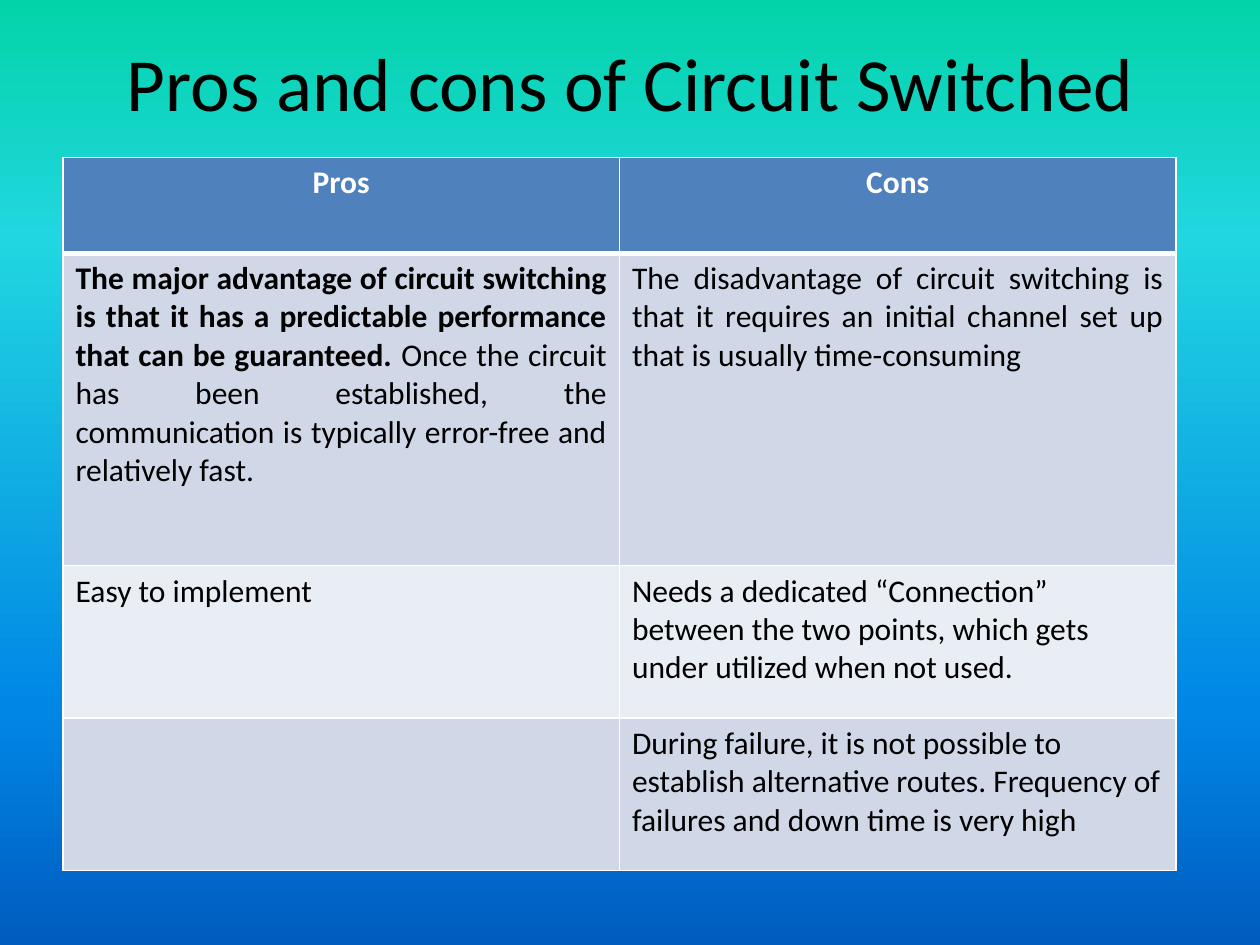
from dataclasses import dataclass

from lxml.etree import SubElement
from pptx import Presentation
from pptx.dml.color import RGBColor
from pptx.enum.text import MSO_ANCHOR as Anchor, PP_ALIGN as Align
from pptx.oxml.ns import qn
from pptx.util import Inches, Pt


@dataclass(frozen=True)
class Theme:
    """Colours, font and type sizes of the slide."""
    font: str = "Calibri"
    title_size: float = 42.9
    body_size: float = 18
    ink: str = "000000"
    white: str = "FFFFFF"
    header: str = "4F81BD"
    bands: tuple = ("D0D8E8", "E9EDF4")
    backdrop: tuple = ((0, "03D4A8"), (25, "21D6E0"), (75, "0087E6"), (100, "005CBF"))
    thin: float = 1
    thick: float = 3


class SlideBuilder:
    """Draws elements on one slide, with lengths as shares of its size."""

    def __init__(self, presentation, theme):
        """Add a blank slide to the presentation."""
        self.theme = theme
        self.width = presentation.slide_width
        self.height = presentation.slide_height
        self.slide = presentation.slides.add_slide(presentation.slide_layouts[6])

    def box(self, left, top, width, height):
        """Turn shares of the slide into lengths."""
        return (round(left * self.width), round(top * self.height),
                round(width * self.width), round(height * self.height))

    def background(self):
        """Fill the slide with the theme's vertical gradient."""
        fill = self.slide.background.fill
        fill.gradient()
        fill.gradient_angle = 270
        stops = next(self.slide.element.iter(qn("a:gsLst")))
        stops.clear()
        for percent, color in self.theme.backdrop:
            stop = SubElement(stops, qn("a:gs"), pos=str(percent * 1000))
            SubElement(stop, qn("a:srgbClr"), val=color)

    def add_runs(self, paragraph, runs, size, color, align):
        """Add (text, bold) runs to a paragraph."""
        paragraph.alignment = align
        for text, bold in runs:
            run = paragraph.add_run()
            run.text = text
            run.font.name = self.theme.font
            run.font.size = Pt(size)
            run.font.bold = bold
            run.font.color.rgb = RGBColor.from_string(color)

    def title(self, text, *shares):
        """Add the centred heading."""
        text_frame = self.slide.shapes.add_textbox(*self.box(*shares)).text_frame
        text_frame.word_wrap = True
        text_frame.vertical_anchor = Anchor.MIDDLE
        paragraph = text_frame.paragraphs[0]
        paragraph.line_spacing = 0.9
        self.add_runs(paragraph, [(text, False)], self.theme.title_size, self.theme.ink,
                      Align.CENTER)

    def borders(self, cell, top, bottom):
        """Draw white lines round a cell, with the given top and bottom widths."""
        properties = cell._tc.get_or_add_tcPr()
        thin = self.theme.thin
        for side, points in (("L", thin), ("R", thin), ("T", top), ("B", bottom)):
            line = SubElement(properties, qn(f"a:ln{side}"), w=str(Pt(points)))
            fill = SubElement(line, qn("a:solidFill"))
            SubElement(fill, qn("a:srgbClr"), val=self.theme.white)

    def table(self, rows, aligns, row_heights, left, top, width):
        """Add a banded table with a header row and equal columns."""
        theme = self.theme
        frame = self.slide.shapes.add_table(
            len(rows), len(rows[0]), *self.box(left, top, width, sum(row_heights)))
        table = frame.table
        for index, (cells, align, share) in enumerate(zip(rows, aligns, row_heights)):
            table.rows[index].height = round(share * self.height)
            is_header = index == 0
            background = theme.header if is_header else theme.bands[(index - 1) % 2]
            for column, runs in enumerate(cells):
                cell = table.cell(index, column)
                self.borders(cell, theme.thick if index == 1 else theme.thin,
                             theme.thick if is_header else theme.thin)
                cell.fill.solid()
                cell.fill.fore_color.rgb = RGBColor.from_string(background)
                self.add_runs(cell.text_frame.paragraphs[0], runs, theme.body_size,
                              theme.white if is_header else theme.ink, align)


ROWS = [
    ([("Pros", True)], [("Cons", True)]),
    ([("The major advantage of circuit switching is that it has a predictable "
       "performance that can be guaranteed. ", True),
      ("Once the circuit has been established, the communication is typically "
       "error-free and relatively fast.", False)],
     [("The disadvantage of circuit switching is that it requires an initial "
       "channel set up that is usually time-consuming", False)]),
    ([("Easy to implement", False)],
     [("Needs a dedicated “Connection” between the two points, which gets under "
       "utilized when not used.", False)]),
    ([],
     [("During failure, it is not possible to establish alternative routes. "
       "Frequency of failures and down time is very high", False)]),
]


def main():
    """Build and save the slide."""
    presentation = Presentation()
    presentation.slide_width, presentation.slide_height = Inches(10), Inches(7.5)
    builder = SlideBuilder(presentation, Theme())
    builder.background()
    builder.title("Pros and cons of Circuit Switched", 0.05, 0.04, 0.9, 0.78 / 7.5)
    builder.table(ROWS, (Align.CENTER, Align.JUSTIFY, Align.LEFT, Align.LEFT),
                  [inches / 7.5 for inches in (0.76, 2.48, 1.21, 1.21)],
                  0.05, 1 / 6, 5.3 / 6)
    presentation.save("out.pptx")


if __name__ == "__main__":
    main()
